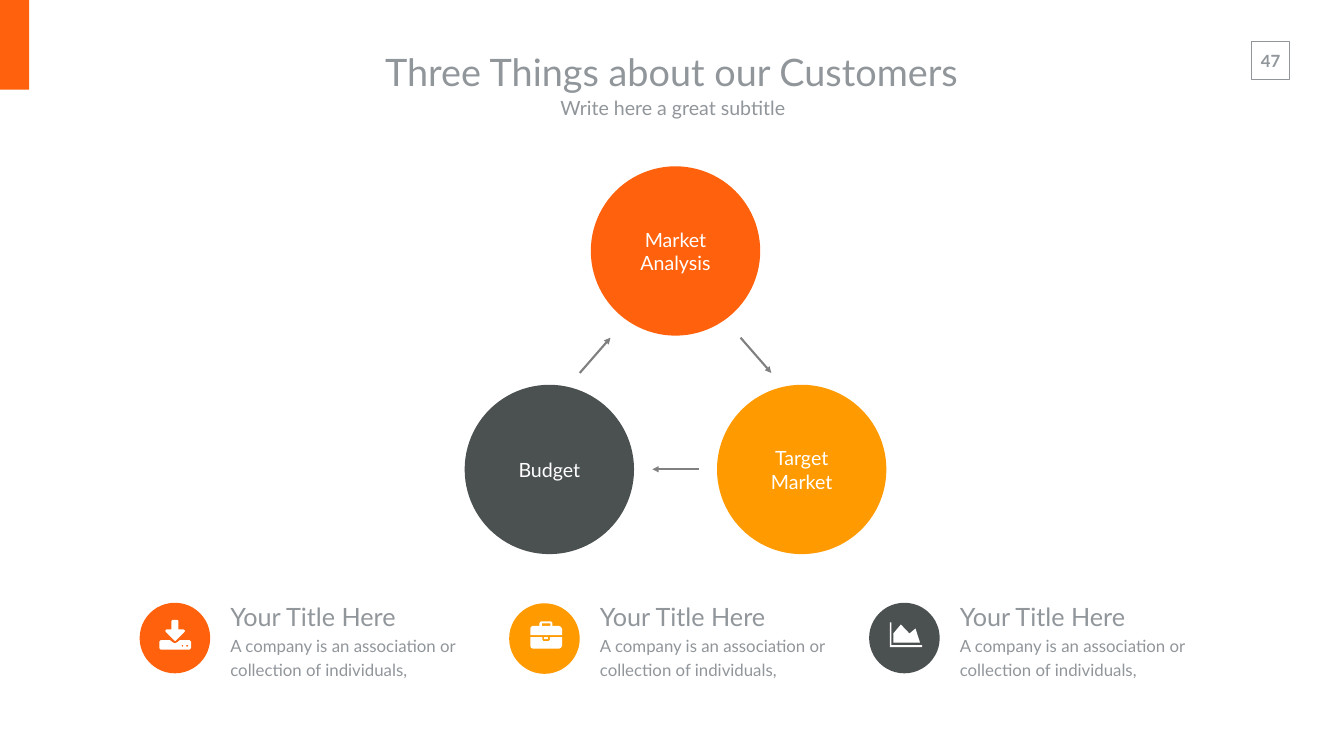
from dataclasses import dataclass
from math import cos, radians, sin

from lxml.etree import SubElement
from pptx import Presentation
from pptx.dml.color import RGBColor
from pptx.enum.shapes import MSO_CONNECTOR, MSO_SHAPE
from pptx.enum.text import MSO_ANCHOR, MSO_AUTO_SIZE, PP_ALIGN
from pptx.oxml.ns import qn
from pptx.util import Inches, Pt


@dataclass(frozen=True)
class Theme:
    """Colours, font and type sizes of the slide."""

    font: str = "Lato"
    white: str = "FFFFFF"
    grey: str = "91969B"
    arrow: str = "808080"
    orange: str = "FF610C"
    amber: str = "FF9B00"
    slate: str = "4B5050"
    title: int = 54
    heading: int = 36
    label: int = 28
    body: int = 24


THEME = Theme()
COLUMNS, ROWS = 26.66, 15
CELL = Inches(1)
AXIS = 13.4
CYCLE_CENTRE, CYCLE_RADIUS, CIRCLE_SIZE = 7.87, 2.89, 3.36
BADGE_SIZE, BADGE_TO_TEXT = 1.4, 1.6

DOWNLOAD_ICON = [
    [(32, 20), (29, 23), (-28, 23), (-31, 20), (-31, 7), (-28, 4), (-10, 4),
     (-5, 8), (-1, 10), (1, 10), (5, 8), (10, 4), (29, 4), (32, 7)],
    [(19, -12), (2, 5), (0, 6), (-1, 5), (-18, -12), (-19, -15), (-17, -17), (-7, -17),
     (-7, -34), (-5, -36), (5, -36), (7, -34), (7, -17), (17, -17), (20, -15)],
    [(15, 13), (13, 15), (15, 18), (17, 15)],
    [(24, 13), (22, 15), (24, 18), (27, 15)],
]
BRIEFCASE_ICON = [
    [(35, -7), (-28, -7), (-28, -19), (-27, -23), (-23, -25), (-10, -25), (-10, -31),
     (-7, -34), (13, -34), (16, -31), (16, -25), (29, -25), (33, -23), (35, -19)],
    [(35, 14), (33, 18), (29, 20), (-23, 20), (-27, 18), (-28, 14), (-28, -3), (-4, -3),
     (-4, 2), (-2, 5), (8, 5), (11, 2), (11, -3), (35, -3)],
    [(12, -25), (12, -30), (-5, -30), (-5, -25)],
    [(7, 1), (-1, 1), (-1, -3), (7, -3)],
]
AREA_CHART_ICON = [
    [(35, 18), (-29, 18), (-29, -31), (-26, -31), (-26, 14), (35, 14)],
    [(31, 9), (-22, 9), (-22, -9), (-7, -27), (10, -9), (22, -19)],
]


def grid(*cells):
    """Convert grid cells to slide lengths."""
    return [round(cell * CELL) for cell in cells]


def write(shape, lines, colour, align=PP_ALIGN.CENTER, anchor=MSO_ANCHOR.MIDDLE,
          insets=(0, 0), spacing=1.0, bold=False, wrap=True):
    """Fill a shape with (text, size) lines."""
    frame = shape.text_frame
    frame.auto_size = MSO_AUTO_SIZE.NONE
    frame.word_wrap = wrap
    frame.vertical_anchor = anchor
    frame.margin_left = frame.margin_right = Inches(insets[0])
    frame.margin_top = frame.margin_bottom = Inches(insets[1])
    frame.text = "\n".join(text for text, _ in lines)
    for paragraph, (_, size) in zip(frame.paragraphs, lines):
        paragraph.alignment = align
        paragraph.line_spacing = spacing
        paragraph.space_before = Pt(0)
        paragraph.font.name = THEME.font
        paragraph.font.size = Pt(size)
        paragraph.font.bold = bold
        paragraph.font.color.rgb = RGBColor.from_string(colour)


def paint(shape, colour):
    """Give a shape a flat fill with no line or shadow."""
    shape.shadow.inherit = False
    shape.fill.solid()
    shape.fill.fore_color.rgb = RGBColor.from_string(colour)
    shape.line.fill.background()


def add_block(slide, kind, cells, colour):
    """Add a flat preset shape on the grid."""
    shape = slide.shapes.add_shape(kind, *grid(*cells))
    paint(shape, colour)
    return shape


def add_heading(placeholder, cells, text, size):
    """Move a placeholder and set its heading text."""
    placeholder.left, placeholder.top, placeholder.width, placeholder.height = grid(*cells)
    write(placeholder, [(text, size)], THEME.grey, insets=(0.27, 0.13))


def add_page_number(slide, number):
    """Add the framed page number."""
    frame = slide.shapes.add_shape(MSO_SHAPE.RECTANGLE, *grid(24.83, 0.82, 0.75, 0.75))
    frame.shadow.inherit = False
    frame.fill.background()
    frame.line.color.rgb = RGBColor.from_string(THEME.grey)
    frame.line.width = Pt(1)
    box = slide.shapes.add_textbox(*grid(24.8, 0.9, 0.81, 0.61))
    write(box, [(number, THEME.body)], THEME.grey, anchor=MSO_ANCHOR.TOP,
          insets=(0.2, 0.1), bold=True, wrap=False)


def add_cycle_circle(slide, angle, words, colour):
    """Add a labelled circle at an angle of the cycle."""
    left = AXIS + CYCLE_RADIUS * cos(radians(angle)) - CIRCLE_SIZE / 2
    top = CYCLE_CENTRE + CYCLE_RADIUS * sin(radians(angle)) - CIRCLE_SIZE / 2
    circle = add_block(slide, MSO_SHAPE.OVAL, (left, top, CIRCLE_SIZE, CIRCLE_SIZE), colour)
    write(circle, [(word, THEME.label) for word in words], THEME.white)


def add_arrow(slide, start, end):
    """Add an arrow between points measured from the cycle axis."""
    (start_x, start_y), (end_x, end_y) = start, end
    arrow = slide.shapes.add_connector(
        MSO_CONNECTOR.STRAIGHT, *grid(AXIS + start_x, start_y, AXIS + end_x, end_y))
    arrow.line.color.rgb = RGBColor.from_string(THEME.arrow)
    arrow.line.width = Pt(3)
    SubElement(arrow.line._get_or_add_ln(), qn("a:tailEnd"), type="triangle")
    SubElement(arrow._element.spPr, qn("a:effectLst"))


def add_icon(slide, centre, outlines):
    """Draw an icon from outlines in hundredths of a cell around its centre."""
    builder = slide.shapes.build_freeform(*outlines[0][0], scale=CELL / 100)
    builder.add_line_segments(outlines[0][1:], close=True)
    for outline in outlines[1:]:
        builder.move_to(*outline[0])
        builder.add_line_segments(outline[1:], close=True)
    paint(builder.convert_to_shape(*grid(*centre)), THEME.white)


def add_legend_item(slide, left, top, width, colour, icon):
    """Add a badge with an icon and its heading and text."""
    add_block(slide, MSO_SHAPE.OVAL, (left, top, BADGE_SIZE, BADGE_SIZE), colour)
    add_icon(slide, (left + BADGE_SIZE / 2, top + BADGE_SIZE / 2), icon)
    box = slide.shapes.add_textbox(*grid(left + BADGE_TO_TEXT, 11.71, width, 1.88))
    lines = [("Your Title Here", THEME.heading),
             ("A company is an association or collection of individuals,", THEME.body)]
    write(box, lines, THEME.grey, PP_ALIGN.LEFT, MSO_ANCHOR.TOP, (0.2, 0.1), 1.2)


def main():
    """Build and save the slide."""
    presentation = Presentation()
    presentation.slide_width, presentation.slide_height = grid(COLUMNS, ROWS)
    slide = presentation.slides.add_slide(presentation.slide_layouts[0])

    add_block(slide, MSO_SHAPE.RECTANGLE, (0, 0, 0.58, 1.78), THEME.orange)
    add_page_number(slide, "47")
    add_heading(slide.shapes.title, (5.76, 0.83, 15.12, 1.18),
                "Three Things about our Customers", THEME.title)
    add_heading(slide.placeholders[1], (8.18, 1.76, 10.33, 0.74),
                "Write here a great subtitle", THEME.label)

    add_cycle_circle(slide, -90, ["Market", "Analysis"], THEME.orange)
    add_cycle_circle(slide, 30, ["Target", "Market"], THEME.amber)
    add_cycle_circle(slide, 150, ["Budget"], THEME.slate)
    add_arrow(slide, (-1.9, 7.4), (-1.29, 6.7))
    add_arrow(slide, (1.29, 6.7), (1.9, 7.4))
    add_arrow(slide, (0.46, 9.31), (-0.46, 9.31))

    add_legend_item(slide, 2.77, 11.96, 5.93, THEME.orange, DOWNLOAD_ICON)
    add_legend_item(slide, 10.1, 11.97, 5.11, THEME.amber, BRIEFCASE_ICON)
    add_legend_item(slide, 17.24, 11.96, 5.1, THEME.slate, AREA_CHART_ICON)
    presentation.save("out.pptx")


if __name__ == "__main__":
    main()
